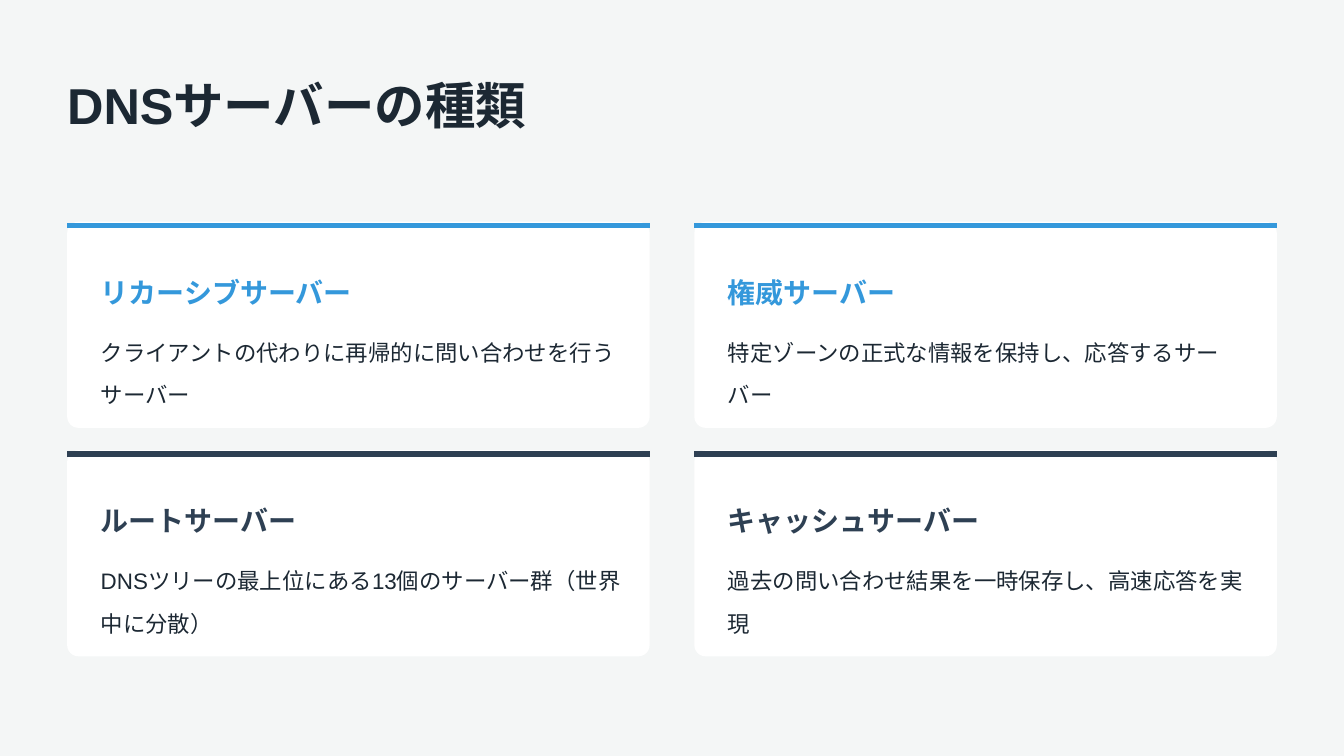
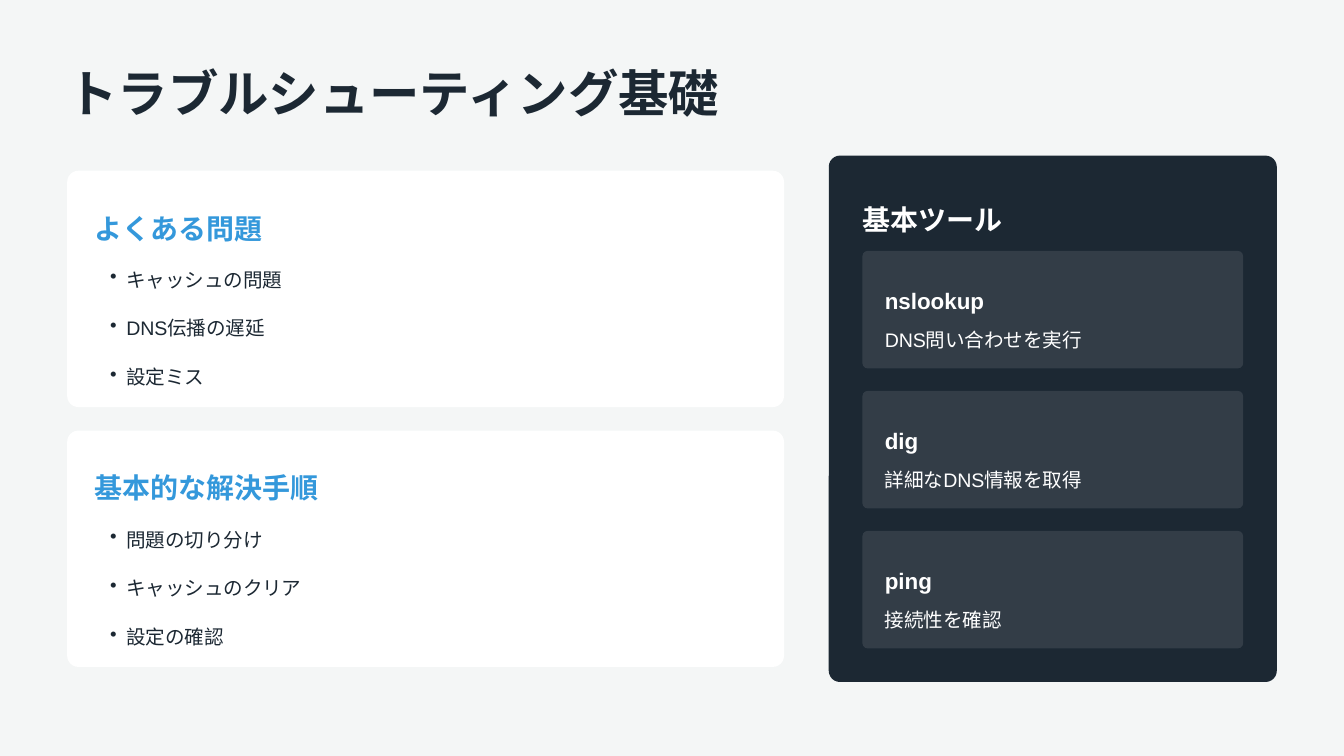
import lxml.etree
import pptx
import pptx.dml.color
import pptx.enum.shapes
import pptx.oxml.ns
import pptx.util

RGBColor = pptx.dml.color.RGBColor
PAPER = RGBColor(0xF4, 0xF6, 0xF6)
INK = RGBColor(0x1C, 0x28, 0x33)
SLATE = RGBColor(0x2E, 0x40, 0x53)
BLUE = RGBColor(0x34, 0x98, 0xDB)
WHITE = RGBColor(0xFF, 0xFF, 0xFF)

FONT = "Arial"
COLUMNS, ROWS = 120, 67.5
CELL = pptx.util.Inches(10) / COLUMNS
MARGIN = 6


def cells(count):
    return pptx.util.Emu(round(count * CELL))


def add_xml(parent, tag, **attributes):
    element = lxml.etree.SubElement(parent, pptx.oxml.ns.qn(tag))
    for name, value in attributes.items():
        element.set(name, str(value))
    return element


class Deck:
    """Holds the presentation, its style and the current slide; lengths are grid cells."""

    def __init__(self):
        self.presentation = pptx.Presentation()
        self.presentation.slide_width = cells(COLUMNS)
        self.presentation.slide_height = cells(ROWS)
        self.slide = None

    def new_slide(self, title, top, width):
        self.slide = self.presentation.slides.add_slide(self.presentation.slide_layouts[6])
        fill = self.slide.background.fill
        fill.solid()
        fill.fore_color.rgb = PAPER
        self.text(title, MARGIN, top, width, 5, 27, INK, bold=True, spacing=1.11)

    def panel(self, left, top, width, height, color=WHITE, radius=1, opacity=None):
        """Rounded box; opacity is a percentage."""
        shape = self.slide.shapes.add_shape(
            pptx.enum.shapes.MSO_SHAPE.ROUNDED_RECTANGLE,
            cells(left), cells(top), cells(width), cells(height))
        shape.adjustments[0] = radius / min(width, height)
        shape.shadow.inherit = False
        shape.line.fill.background()
        shape.fill.solid()
        shape.fill.fore_color.rgb = color
        if opacity is not None:
            fill_color = shape.element.find(".//" + pptx.oxml.ns.qn("a:srgbClr"))
            add_xml(fill_color, "a:alpha", val=opacity * 1000)

    def rule(self, left, top, width, color):
        line = self.slide.shapes.add_connector(
            pptx.enum.shapes.MSO_CONNECTOR.STRAIGHT,
            cells(left), cells(top), cells(left + width), cells(top))
        line.line.color.rgb = color
        line.line.width = pptx.util.Pt(3)
        add_xml(line.element.spPr, "a:effectLst")

    def frame(self, left, top, width, height, inset=0):
        box = self.slide.shapes.add_textbox(cells(left), cells(top), cells(width), cells(height))
        frame = box.text_frame
        frame.word_wrap = True
        frame.margin_left = pptx.util.Inches(inset)
        frame.margin_right = frame.margin_top = frame.margin_bottom = 0
        return frame

    def add_styled_run(self, paragraph, text, size, color, bold, spacing):
        paragraph.line_spacing = spacing
        run = paragraph.add_run()
        run.text = text
        run.font.name = FONT
        run.font.size = pptx.util.Pt(size)
        run.font.bold = bold
        run.font.color.rgb = color

    def text(self, text, left, top, width, height, size, color, bold=False, spacing=1.5):
        frame = self.frame(left, top, width, height)
        self.add_styled_run(frame.paragraphs[0], text, size, color, bold, spacing)

    def heading(self, text, left, top, width, color):
        self.text(text, left, top, width, 3.5, 15, color, bold=True, spacing=1.4)

    def bullets(self, items, left, top, width, height):
        indent = pptx.util.Inches(0.12)
        frame = self.frame(left, top, width, height, inset=0.12)
        for index, item in enumerate(items):
            paragraph = frame.add_paragraph() if index else frame.paragraphs[0]
            self.add_styled_run(paragraph, item, 10.5, INK, False, 1.5)
            if index:
                paragraph.space_before = pptx.util.Pt(7.2)
            properties = paragraph._p.get_or_add_pPr()
            properties.set("marL", str(indent))
            properties.set("indent", str(-indent))
            bullet_color = add_xml(properties, "a:buClr")
            add_xml(bullet_color, "a:srgbClr", val=INK)
            add_xml(properties, "a:buChar", char="•")

    def server_card(self, name, description, left, top, accent):
        width = 52
        self.panel(left, top, width, 18.4)
        self.rule(left, top + 0.35, width, accent)
        self.heading(name, left + 3, top + 3.6, 47, accent)
        self.text(description, left + 3, top + 9, 47, 6.4, 12, INK, spacing=1.6)

    def list_card(self, name, items, top):
        self.panel(MARGIN, top, 64, 21.1)
        self.heading(name, MARGIN + 2.4, top + 2.4, 60.4, BLUE)
        self.bullets(items, MARGIN + 2.4, top + 7.6, 59.2, 11.3)

    def tool_card(self, name, purpose, left, top):
        self.panel(left, top, 34, 10.5, radius=0.5, opacity=10)
        self.text(name, left + 2, top + 2, 30.6, 3, 12, WHITE, bold=True)
        self.text(purpose, left + 2, top + 6, 30.6, 2.5, 10.5, WHITE, spacing=1.43)


def build_server_types(deck):
    deck.new_slide("DNSサーバーの種類", 6, 55.2)
    servers = [
        ("リカーシブサーバー", "クライアントの代わりに再帰的に問い合わせを行うサーバー"),
        ("権威サーバー", "特定ゾーンの正式な情報を保持し、応答するサーバー"),
        ("ルートサーバー", "DNSツリーの最上位にある13個のサーバー群（世界中に分散）"),
        ("キャッシュサーバー", "過去の問い合わせ結果を一時保存し、高速応答を実現"),
    ]
    for index, (name, description) in enumerate(servers):
        row, column = divmod(index, 2)
        deck.server_card(name, description, MARGIN + 56 * column, 19.8 + 20.4 * row,
                         (BLUE, SLATE)[row])


def build_troubleshooting(deck):
    deck.new_slide("トラブルシューティング基礎", 5, 60.8)
    topics = [
        ("よくある問題", ["キャッシュの問題", "DNS伝播の遅延", "設定ミス"]),
        ("基本的な解決手順", ["問題の切り分け", "キャッシュのクリア", "設定の確認"]),
    ]
    for index, (name, items) in enumerate(topics):
        deck.list_card(name, items, 15.25 + 23.2 * index)

    deck.panel(74, 13.9, 40, 47, INK)
    deck.heading("基本ツール", 77, 16.9, 34.7, WHITE)
    tools = [
        ("nslookup", "DNS問い合わせを実行"),
        ("dig", "詳細なDNS情報を取得"),
        ("ping", "接続性を確認"),
    ]
    for index, (name, purpose) in enumerate(tools):
        deck.tool_card(name, purpose, 77, 22.4 + 12.5 * index)


def main():
    deck = Deck()
    build_server_types(deck)
    build_troubleshooting(deck)
    deck.presentation.save("out.pptx")


if __name__ == "__main__":
    main()
